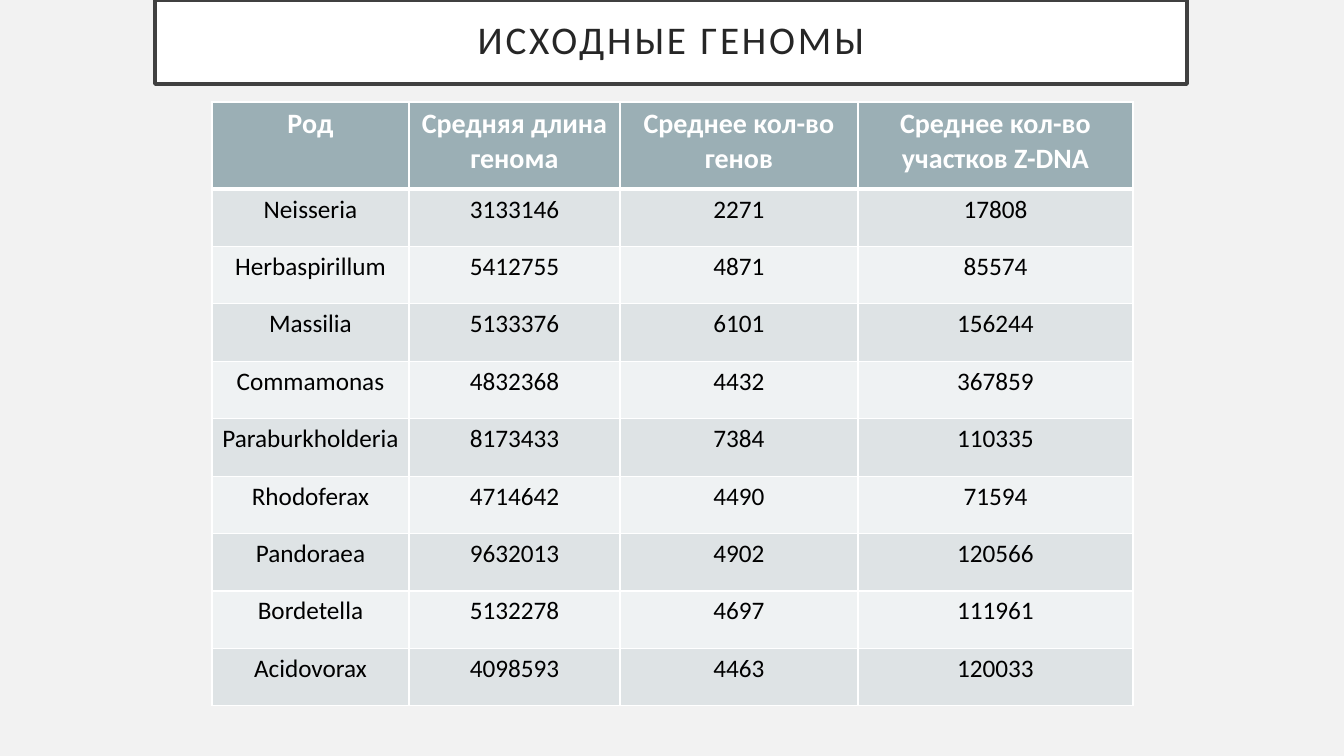
from dataclasses import dataclass

from lxml.etree import SubElement
from pptx import Presentation
from pptx.dml.color import RGBColor
from pptx.enum.text import MSO_ANCHOR, MSO_AUTO_SIZE, PP_ALIGN
from pptx.oxml.ns import qn
from pptx.util import Pt

# Content
TITLE = "ИСХОДНЫЕ ГЕНОМЫ"
HEADINGS = (
    "Род",
    "Средняя длина генома",
    "Среднее кол-во генов",
    "Среднее кол-во участков Z-DNA",
)
GENERA = [
    ("Neisseria", 3133146, 2271, 17808),
    ("Herbaspirillum", 5412755, 4871, 85574),
    ("Massilia", 5133376, 6101, 156244),
    ("Commamonas", 4832368, 4432, 367859),
    ("Paraburkholderia", 8173433, 7384, 110335),
    ("Rhodoferax", 4714642, 4490, 71594),
    ("Pandoraea", 9632013, 4902, 120566),
    ("Bordetella", 5132278, 4697, 111961),
    ("Acidovorax", 4098593, 4463, 120033),
]

# Layout in px
SLIDE = (1344, 756)
TITLE_BOX = (155, 0, 1032, 84)
TITLE_INSET = 20
TABLE_LEFT, TABLE_TOP, TABLE_HEIGHT = 212, 102, 604
HEADING_HEIGHT = 87
COLUMN_WIDTHS = (197, 211, 238, 275)


@dataclass(frozen=True)
class Theme:
    font: str = "Calibri"
    background: str = "F2F2F2"
    white: str = "FFFFFF"
    frame: str = "404040"
    title: str = "262626"
    heading_fill: str = "9BAFB5"
    bands: tuple = ("DEE3E5", "EFF2F3")
    body: str = "000000"
    title_size: int = 28
    heading_size: int = 20
    body_size: int = 18
    frame_width: float = 2.5
    grid_width: int = 1
    heading_rule: int = 3


THEME = Theme()


def px(length):
    return round(length * 914400 / 100.8)


def paint(fill, color):
    fill.solid()
    fill.fore_color.rgb = RGBColor.from_string(color)


def assign(target, values):
    for name, value in values.items():
        setattr(target, name, value)


def write(frame, text, size, color, bold=False):
    frame.text = text
    paragraph = frame.paragraphs[0]
    paragraph.alignment = PP_ALIGN.CENTER
    font = paragraph.runs[0].font
    assign(font, {"name": THEME.font, "size": Pt(size), "bold": bold})
    font.color.rgb = RGBColor.from_string(color)
    return paragraph


def border(cell, widths):
    properties = cell._tc.get_or_add_tcPr()
    for index, (side, width) in enumerate(widths.items()):
        line = SubElement(properties, qn(f"a:{side}"), w=str(Pt(width)))
        fill = SubElement(line, qn("a:solidFill"))
        SubElement(fill, qn("a:srgbClr"), val=THEME.white)
        properties.insert(index, line)


def add_title(slide):
    title = slide.shapes.title
    assign(title, dict(zip(("left", "top", "width", "height"), map(px, TITLE_BOX))))
    paint(title.fill, THEME.white)
    paint(title.line.fill, THEME.frame)
    title.line.width = Pt(THEME.frame_width)
    frame = title.text_frame
    sides = ("left", "top", "right", "bottom")
    assign(frame, {f"margin_{side}": px(TITLE_INSET) for side in sides})
    assign(frame, {
        "word_wrap": True,
        "auto_size": MSO_AUTO_SIZE.NONE,
        "vertical_anchor": MSO_ANCHOR.MIDDLE,
    })
    paragraph = write(frame, TITLE, THEME.title_size, THEME.title)
    paragraph.line_spacing = 0.9
    paragraph.runs[0].font._element.set("spc", "200")


def add_genome_table(slide):
    rows = [HEADINGS, *GENERA]
    table = slide.shapes.add_table(
        len(rows), len(HEADINGS), px(TABLE_LEFT), px(TABLE_TOP),
        px(sum(COLUMN_WIDTHS)), px(TABLE_HEIGHT),
    ).table
    for column, width in zip(table.columns, COLUMN_WIDTHS):
        column.width = px(width)
    genus_height = (TABLE_HEIGHT - HEADING_HEIGHT) / len(GENERA)

    for row, values in enumerate(rows):
        is_heading = row == 0
        table.rows[row].height = px(HEADING_HEIGHT if is_heading else genus_height)
        fill = THEME.heading_fill if is_heading else THEME.bands[(row - 1) % 2]
        size = THEME.heading_size if is_heading else THEME.body_size
        color = THEME.white if is_heading else THEME.body
        grid = dict.fromkeys(("lnL", "lnR", "lnT", "lnB"), THEME.grid_width)
        if is_heading:
            grid["lnB"] = THEME.heading_rule
        elif row == 1:
            grid["lnT"] = THEME.heading_rule
        for column, value in enumerate(values):
            cell = table.cell(row, column)
            paint(cell.fill, fill)
            border(cell, grid)
            write(cell.text_frame, str(value), size, color, is_heading)


def main():
    deck = Presentation()
    deck.slide_width, deck.slide_height = map(px, SLIDE)
    slide = deck.slides.add_slide(deck.slide_layouts.get_by_name("Title Only"))
    paint(slide.background.fill, THEME.background)
    add_title(slide)
    add_genome_table(slide)
    deck.save("out.pptx")


if __name__ == "__main__":
    main()
